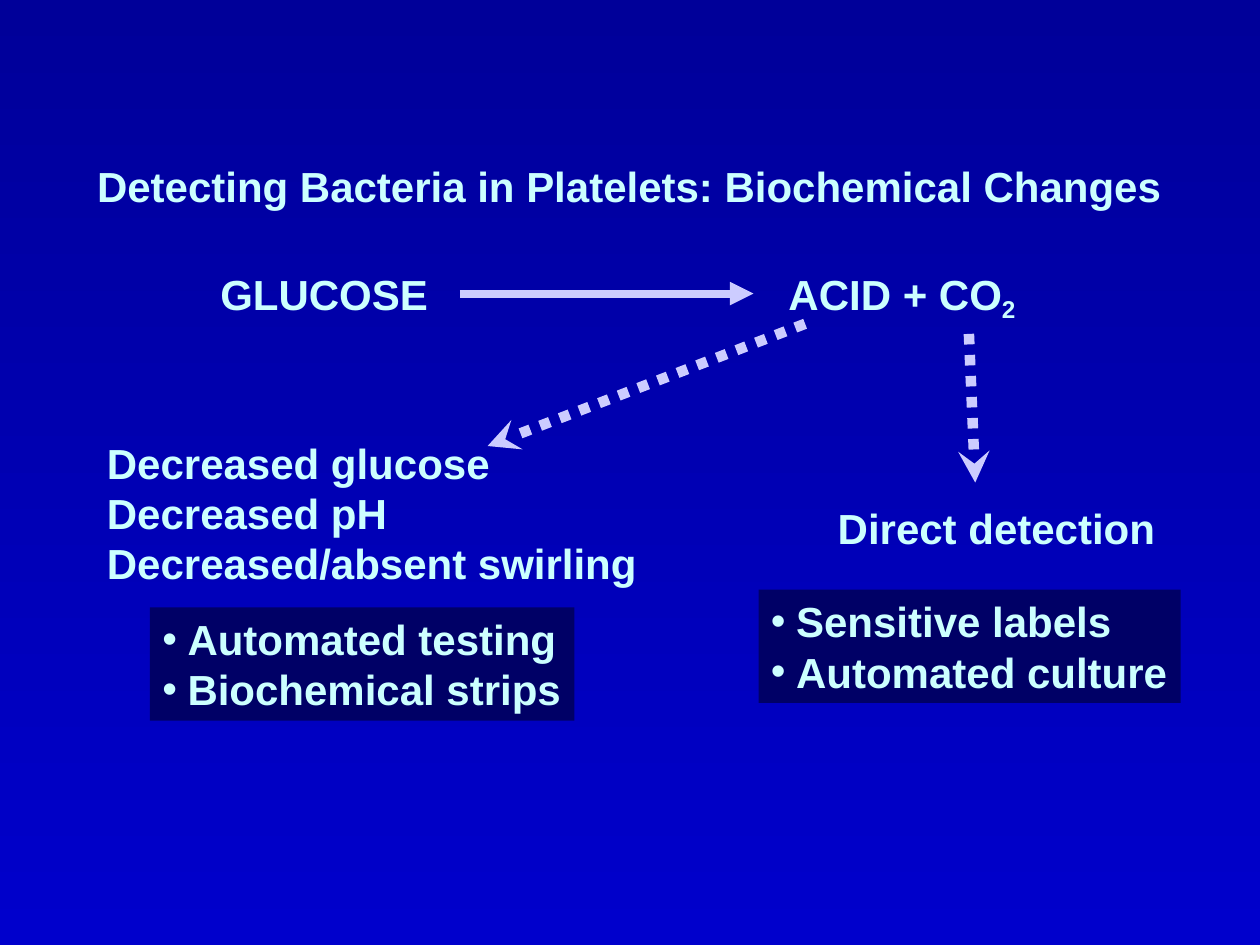
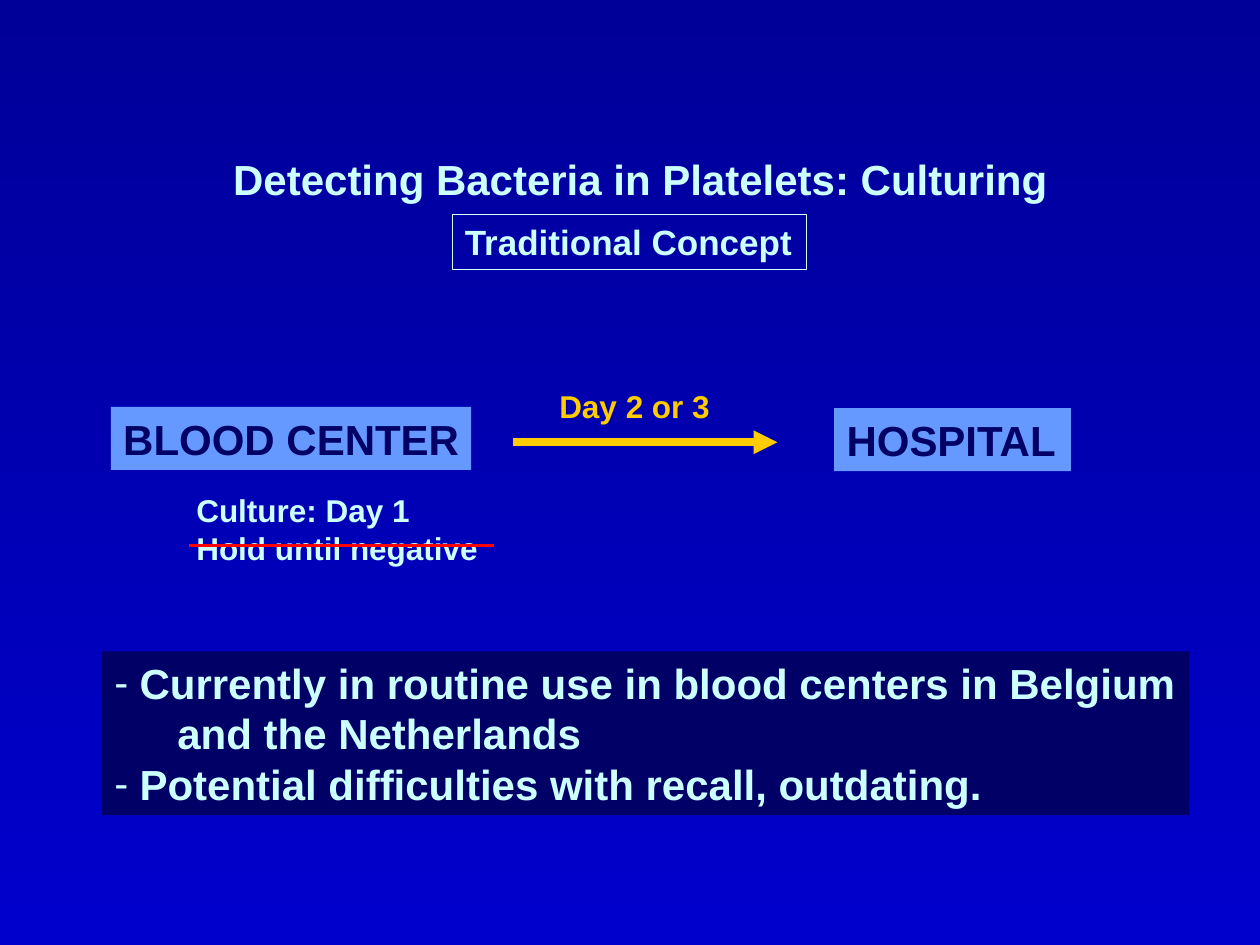
"""Build two slides on detecting bacteria in platelets."""
from dataclasses import dataclass

from lxml import etree
from pptx import Presentation
from pptx.dml.color import RGBColor
from pptx.enum.dml import MSO_LINE
from pptx.enum.shapes import MSO_CONNECTOR, MSO_SHAPE
from pptx.enum.text import MSO_ANCHOR, MSO_AUTO_SIZE, PP_ALIGN
from pptx.oxml.ns import qn
from pptx.util import Inches, Pt

RECT = MSO_SHAPE.RECTANGLE
STRAIGHT = MSO_CONNECTOR.STRAIGHT
DOTS = MSO_LINE.ROUND_DOT
TOP = MSO_ANCHOR.TOP
LEFT = PP_ALIGN.LEFT
FIXED = MSO_AUTO_SIZE.NONE
TITLE_ONLY = 5


@dataclass(frozen=True)
class Theme:
    """Hold the colours, font and type sizes of the deck."""
    font: str = "Arial"
    large: int = 24
    mid: int = 20
    small: int = 18
    top: str = "000099"
    base: str = "0000CC"
    pale: str = "CCFFFF"
    navy: str = "000066"
    sky: str = "6699FF"
    lilac: str = "CCCCFF"
    gold: str = "FFCC00"
    red: str = "FF0000"


THEME = Theme()


def rgb(code):
    """Turn a hex code into a colour."""
    return RGBColor.from_string(code)


def indent(para, mark):
    """Give a paragraph a hanging mark, or a plain indent for a space."""
    props = para._p.get_or_add_pPr()
    hang = Inches(0.2)
    if mark == " ":
        props.set("marL", str(Inches(0.5)))
        props.set("indent", "0")
        etree.SubElement(props, qn("a:buNone"))
    else:
        props.set("marL", str(hang))
        props.set("indent", str(-hang))
        etree.SubElement(props, qn("a:buFont"), typeface=THEME.font)
        etree.SubElement(props, qn("a:buChar"), char=mark)


def preset(frame, size):
    """Set the default type of a list, which its marks follow."""
    style = frame._txBody.find(qn("a:lstStyle"))
    level = etree.SubElement(style, qn("a:lvl1pPr"))
    etree.SubElement(level, qn("a:defRPr"), sz=str(size * 100), b="1")


def write(shape, text, size=THEME.large, color=THEME.pale, marks="", sub=""):
    """Fill a shape with bold text, one paragraph a line."""
    frame = shape.text_frame
    frame.word_wrap = True
    frame.auto_size = FIXED
    frame.vertical_anchor = TOP
    frame.margin_right = 0
    if marks:
        preset(frame, size)
    for index, line in enumerate(text.split("\n")):
        para = frame.add_paragraph() if index else frame.paragraphs[0]
        if marks:
            indent(para, marks[index])
        para.alignment = LEFT
        for part in filter(None, (line, sub)):
            run = para.add_run()
            run.text = part
            run.font.name = THEME.font
            run.font.size = Pt(size)
            run.font.bold = True
            run.font.color.rgb = rgb(color)
        if sub:
            run._r.get_or_add_rPr().set("baseline", "-20000")


def label(slide, place, text, **style):
    """Add a plain text box."""
    write(slide.shapes.add_textbox(*map(Inches, place)), text, **style)


def panel(slide, place, text, fill=None, edge=None, **style):
    """Add a box with text, a fill or an edge."""
    box = slide.shapes.add_shape(RECT, *map(Inches, place))
    box.shadow.inherit = False
    if fill:
        box.fill.solid()
        box.fill.fore_color.rgb = rgb(fill)
    else:
        box.fill.background()
    if edge:
        box.line.color.rgb = rgb(edge)
        box.line.width = Pt(0.75)
    else:
        box.line.fill.background()
    write(box, text, **style)


def stroke(slide, start, end, color, width, head=None, dash=None):
    """Draw a straight line, with an arrowhead if named."""
    link = slide.shapes.add_connector(STRAIGHT, *map(Inches, start + end))
    line = link.line
    line.color.rgb = rgb(color)
    line.width = Pt(width)
    if dash:
        line.dash_style = dash
    if head:
        etree.SubElement(line._get_or_add_ln(), qn("a:tailEnd"), type=head)
    etree.SubElement(link._element.spPr, qn("a:effectLst"))
    link._element.remove(link._element.find(qn("p:style")))


def paint(master):
    """Give the master its blue gradient."""
    fill = master.background.fill
    fill.gradient()
    fill.gradient_angle = 270
    for stop, code in zip(fill.gradient_stops, (THEME.top, THEME.base)):
        stop.color.rgb = rgb(code)


def start(deck, text, place):
    """Add a slide with its title in place."""
    slide = deck.slides.add_slide(deck.slide_layouts[TITLE_ONLY])
    title = slide.shapes.title
    title.left, title.top, title.width, title.height = map(Inches, place)
    write(title, text)
    return slide


def changes(deck):
    """Build the slide on biochemical changes."""
    slide = start(deck, "Detecting Bacteria in Platelets: Biochemical Changes",
                  (0.67, 1.22, 8.64, 0.5))
    label(slide, (1.65, 2.08, 1.85, 0.5), "GLUCOSE")
    label(slide, (6.16, 2.08, 2, 0.54), "ACID + CO", sub="2")
    label(slide, (0.75, 3.42, 4.4, 1.3),
          "Decreased glucose\nDecreased pH\nDecreased/absent swirling")
    label(slide, (6.55, 3.94, 2.72, 0.5), "Direct detection")
    stroke(slide, (3.65, 2.33), (5.98, 2.33), THEME.lilac, 4.5, "triangle")
    for tail, tip in (((6.39, 2.57), (3.87, 3.54)),
                      ((7.69, 2.65), (7.74, 3.83))):
        stroke(slide, tail, tip, THEME.lilac, 6, "stealth", DOTS)
    for place, text in (
            ((1.19, 4.82, 3.37, 0.9), "Automated testing\nBiochemical strips"),
            ((6.02, 4.68, 3.35, 0.9), "Sensitive labels\nAutomated culture")):
        panel(slide, place, text, fill=THEME.navy, marks="••")


def culture(deck):
    """Build the slide on culturing."""
    slide = start(deck, "Detecting Bacteria in Platelets: Culturing",
                  (1.75, 1.17, 6.66, 0.5))
    panel(slide, (3.59, 1.7, 2.81, 0.44), "Traditional Concept",
          edge=THEME.pale, size=THEME.mid)
    for place, text in (((0.88, 3.23, 2.86, 0.5), "BLOOD CENTER"),
                        ((6.62, 3.24, 1.88, 0.5), "HOSPITAL")):
        panel(slide, place, text, fill=THEME.sky, color=THEME.navy)
    label(slide, (1.46, 3.85, 2.43, 0.7),
          "Culture: Day 1\nHold until negative", size=THEME.small)
    label(slide, (4.34, 3.02, 1.39, 0.4), "Day 2 or 3",
          size=THEME.small, color=THEME.gold)
    stroke(slide, (4.07, 3.51), (6.17, 3.51), THEME.gold, 4.5, "triangle")
    panel(slide, (0.81, 5.17, 8.63, 1.3),
          "Currently in routine use in blood centers in Belgium\n"
          "and the Netherlands\n"
          "Potential difficulties with recall, outdating.",
          fill=THEME.navy, marks="- -")
    stroke(slide, (1.5, 4.33), (3.92, 4.33), THEME.red, 1.25)


def main():
    """Build and save the deck."""
    deck = Presentation()
    deck.slide_width, deck.slide_height = Inches(10), Inches(7.5)
    paint(deck.slide_master)
    changes(deck)
    culture(deck)
    deck.save("out.pptx")


if __name__ == "__main__":
    main()
